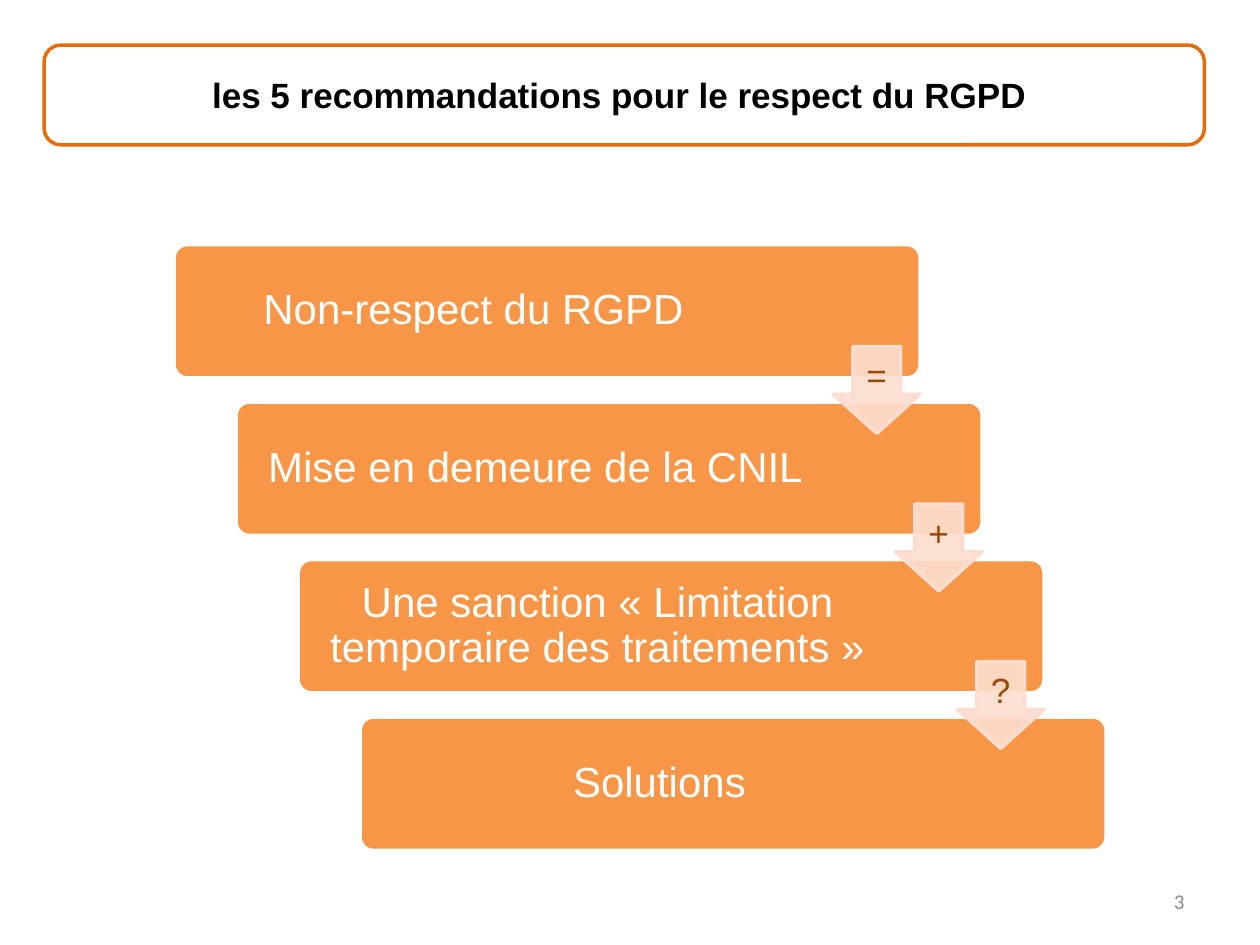
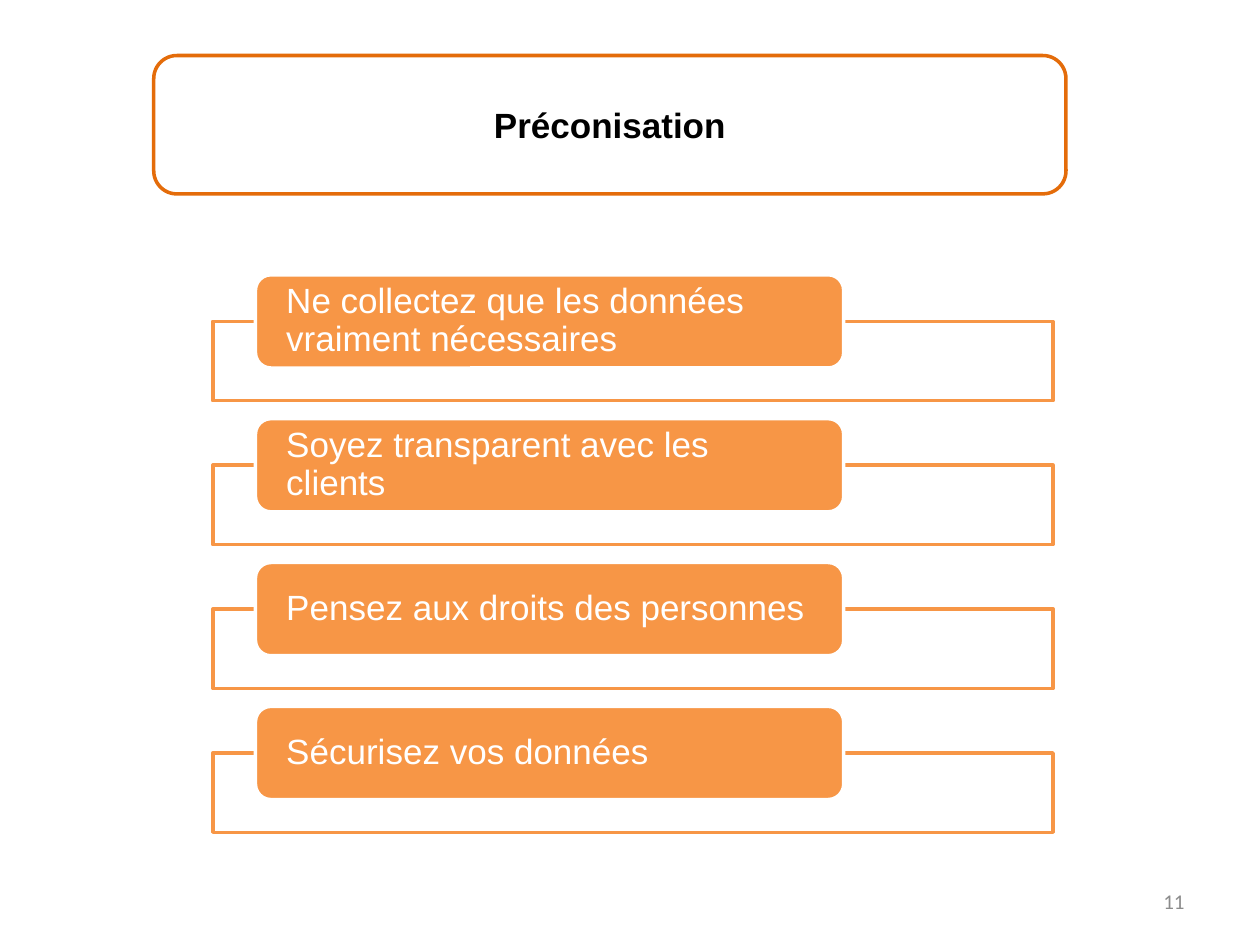
import pptx
import pptx.util
import pptx.dml.color
import pptx.enum.shapes
import pptx.enum.text
import pptx.oxml
import pptx.oxml.ns

Cm = pptx.util.Cm
Pt = pptx.util.Pt
RGBColor = pptx.dml.color.RGBColor
SHAPE = pptx.enum.shapes.MSO_SHAPE
ALIGN = pptx.enum.text.PP_ALIGN
MIDDLE = pptx.enum.text.MSO_ANCHOR.MIDDLE

WHITE = RGBColor(0xFF, 0xFF, 0xFF)
BLACK = RGBColor(0x00, 0x00, 0x00)
ORANGE = RGBColor(0xF7, 0x96, 0x46)
DARK_ORANGE = RGBColor(0xE4, 0x6C, 0x0A)
PEACH = RGBColor(0xFC, 0xDD, 0xCF)
BROWN = RGBColor(0x98, 0x48, 0x07)
GREY = RGBColor(0x8C, 0x8C, 0x8C)

# Title boxes and insets: left, top, width, height / left, top, right, bottom (cm)
CASCADE = {
    "title": "les 5 recommandations pour le respect du RGPD ",
    "title_box": (0.89, 0.91, 23.39, 2.01),
    "number": "3",
    "steps": [
        "Non-respect du RGPD",
        "Mise en demeure de la CNIL",
        "Une sanction «\u00a0Limitation temporaire des traitements\u00a0»",
        "Solutions",
    ],
    "links": ["=", "+", "?"],
}
ADVICE = {
    "title": "Préconisation",
    "title_box": (3.1, 1.12, 18.39, 2.79),
    "number": "11",
    "items": [
        "Ne collectez que les données vraiment nécessaires",
        "Soyez transparent avec les clients",
        "Pensez aux droits des personnes",
        "Sécurisez vos données",
    ],
}
NUMBER_BOX = (18.21, 17.65, 5.92, 1.02)


def write(sp, text, size, color, align, insets=(0.25, 0.13, 0.25, 0.13),
          font="Arial", bold=False, spacing=None):
    tf = sp.text_frame
    tf.word_wrap = True
    tf.auto_size = pptx.enum.text.MSO_AUTO_SIZE.NONE
    tf.vertical_anchor = MIDDLE
    tf.margin_left, tf.margin_top, tf.margin_right, tf.margin_bottom = map(Cm, insets)
    p = tf.paragraphs[0]
    p.text = text
    p.alignment = align
    p.line_spacing = spacing
    p.font.name = font
    p.font.size = Pt(size)
    p.font.bold = bold
    p.font.color.rgb = color


def add_box(slide, kind, box, fill, line, adjustments=(), alpha=None):
    """Add a flat preset shape; alpha is the opacity of its fill in percent."""
    sp = slide.shapes.add_shape(kind, *map(Cm, box))
    sp.shadow.inherit = False
    sp.fill.solid()
    sp.fill.fore_color.rgb = fill
    sp.line.color.rgb = line
    sp.line.width = Pt(2)
    for i, value in enumerate(adjustments):
        sp.adjustments[i] = value
    if alpha:
        color = sp._element.spPr.find(
            pptx.oxml.ns.qn("a:solidFill")).find(pptx.oxml.ns.qn("a:srgbClr"))
        color.append(pptx.oxml.parse_xml(
            f'<a:alpha {pptx.oxml.ns.nsdecls("a")} val="{alpha * 1000}"/>'))
    return sp


def add_slide(prs, content):
    """Add a slide with its framed title and its number."""
    slide = prs.slides.add_slide(prs.slide_layouts[5])
    box = content["title_box"]
    frame = add_box(slide, SHAPE.ROUNDED_RECTANGLE, box, WHITE, DARK_ORANGE)
    title = slide.shapes.title
    title.left, title.top, title.width, title.height = map(Cm, box)
    frame._element.addnext(title._element)
    write(title, content["title"], 20, BLACK, ALIGN.CENTER, bold=True)
    number = slide.shapes.add_textbox(*map(Cm, NUMBER_BOX))
    write(number, content["number"], 12, GREY, ALIGN.RIGHT, font="Calibri")
    return slide


def draw_cascade(slide, steps, links):
    left, top, width, height = 3.51, 4.93, 15.04, 2.69
    step_x, step_y, arrow = 1.25, 3.175, 1.75
    for i, text in enumerate(steps):
        box = (left + i * step_x, top + i * step_y, width, height)
        sp = add_box(slide, SHAPE.ROUNDED_RECTANGLE, box, ORANGE, WHITE, [0.1])
        write(sp, text, 24, WHITE, ALIGN.CENTER, (0.33, 0.33, 3.3, 0.33), spacing=0.9)
    # Each arrow ends at the right edge of its step, centred on the gap below it
    for i, text in enumerate(links):
        x = left + i * step_x + width - arrow
        y = top + i * step_y + (height + step_y - arrow) / 2
        sp = add_box(slide, SHAPE.DOWN_ARROW, (x, y, arrow, arrow),
                     PEACH, PEACH, [0.55, 0.45], alpha=90)
        write(sp, text, 20, BROWN, ALIGN.CENTER, (0.08, 0.08, 0.08, 0.15), spacing=0.9)


def draw_advice(slide, items):
    left, top, width, height, step = 4.29, 6.48, 16.94, 1.6, 2.9
    label_width, label_height, indent = 11.86, 1.88, 0.86
    for i, text in enumerate(items):
        y = top + i * step
        add_box(slide, SHAPE.RECTANGLE, (left, y, width, height), WHITE, ORANGE, alpha=90)
        label = (left + indent, y - label_height / 2, label_width, label_height)
        sp = add_box(slide, SHAPE.ROUNDED_RECTANGLE, label, ORANGE, WHITE)
        write(sp, text, 20, WHITE, ALIGN.LEFT, (0.53, 0, 0.53, 0), spacing=0.9)


def main():
    prs = pptx.Presentation()
    prs.slide_width, prs.slide_height = Cm(25.4), Cm(19.05)
    draw_cascade(add_slide(prs, CASCADE), CASCADE["steps"], CASCADE["links"])
    draw_advice(add_slide(prs, ADVICE), ADVICE["items"])
    prs.save("out.pptx")


if __name__ == "__main__":
    main()
